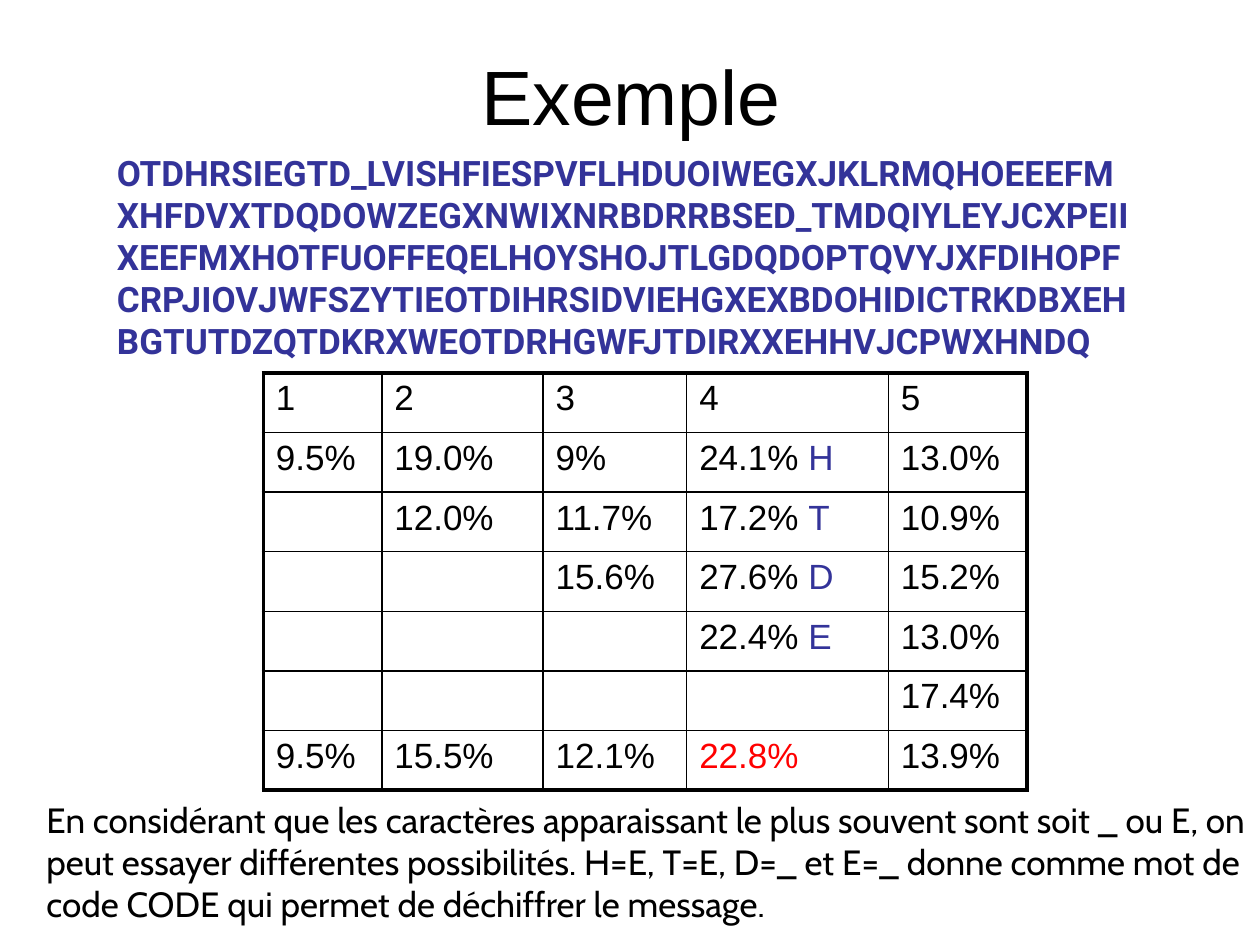
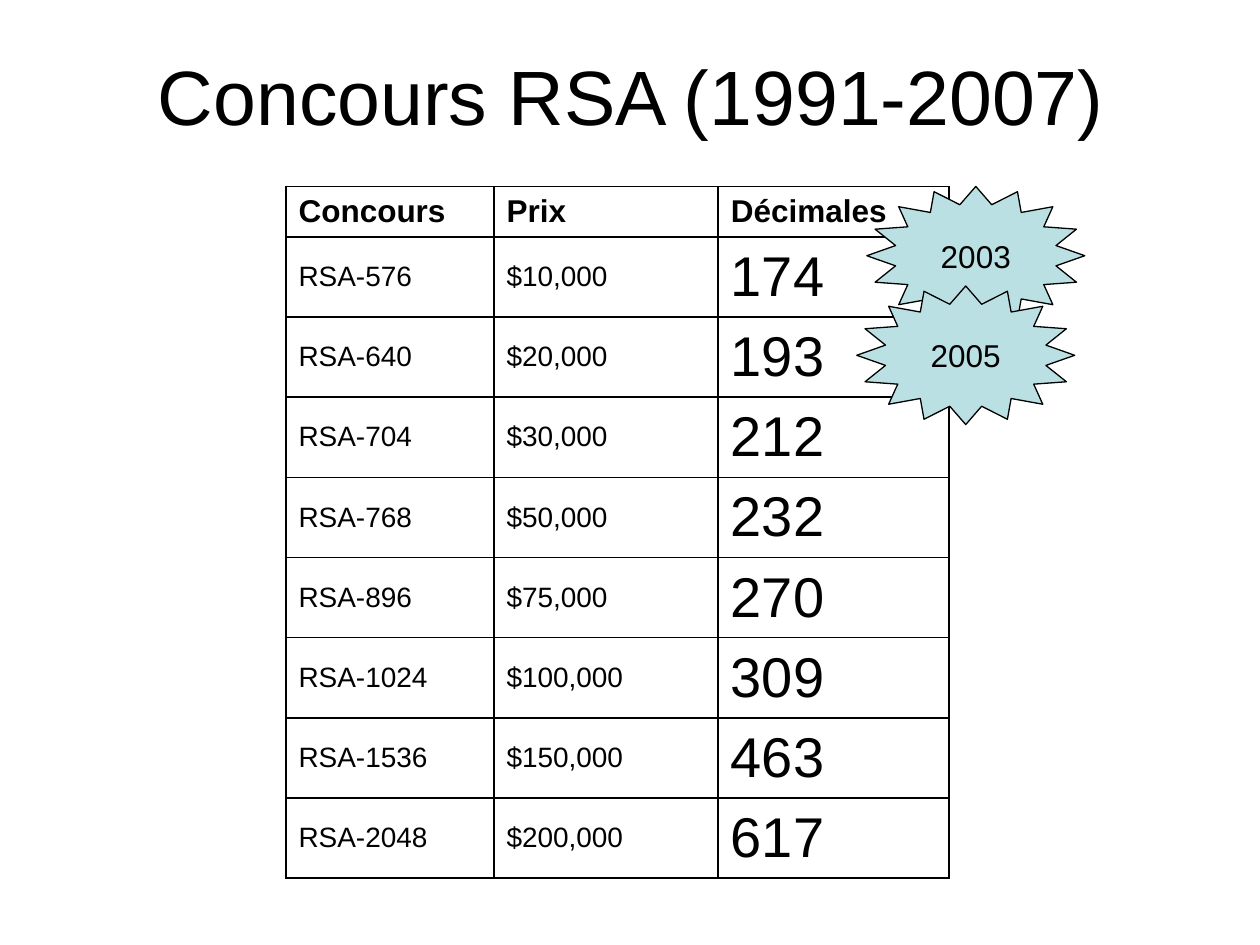
import dataclasses

import pptx
import pptx.dml.color
import pptx.enum.shapes
import pptx.enum.text
import pptx.oxml
import pptx.oxml.ns
import pptx.util

Inches = pptx.util.Inches
Pt = pptx.util.Pt
Color = pptx.dml.color.RGBColor.from_string
Anchor = pptx.enum.text.MSO_ANCHOR
Align = pptx.enum.text.PP_ALIGN


@dataclasses.dataclass(frozen=True)
class Theme:
    black: str = "000000"
    blue: str = "333399"
    red: str = "FF0000"
    pale: str = "BBE0E3"
    sans: str = "Arial"
    code: str = "Roboto"
    note: str = "Cabin"
    title: int = 44
    large: int = 32
    body: int = 20
    head: int = 18
    small: int = 16
    thin: float = 1
    thick: float = 2.25


class Deck:
    def __init__(self, theme):
        self.theme = theme
        self.show = pptx.Presentation()
        self.show.slide_width = Inches(10)
        self.show.slide_height = Inches(7.5)
        self.slide = None

    def style(self, para, size, face=None, color=None, bold=False):
        para.font.size = Pt(size)
        para.font.name = face or self.theme.sans
        para.font.bold = bold
        para.font.color.rgb = Color(color or self.theme.black)

    def page(self, text):
        self.slide = self.show.slides.add_slide(self.show.slide_layouts[5])
        title = self.slide.shapes.title
        title.left, title.top = Inches(0.51), Inches(0)
        title.width, title.height = Inches(9), Inches(1.5)
        title.text_frame.text = text
        title.text_frame.vertical_anchor = Anchor.MIDDLE
        para = title.text_frame.paragraphs[0]
        para.alignment = Align.CENTER
        self.style(para, self.theme.title)

    def text(self, box, words, face, color, bold=False):
        frame = self.slide.shapes.add_textbox(*map(Inches, box)).text_frame
        frame.word_wrap = True
        frame.auto_size = pptx.enum.text.MSO_AUTO_SIZE.SHAPE_TO_FIT_TEXT
        frame.text = words
        self.style(frame.paragraphs[0], self.theme.body, face, color, bold)

    def table(self, left, top, widths, heights, rows, form, edge):
        frame = self.slide.shapes.add_table(
            len(rows), len(widths), Inches(left), Inches(top),
            Inches(sum(widths)), Inches(sum(heights)))
        grid = frame.table
        grid.first_row = grid.horz_banding = False
        for col, width in zip(grid.columns, widths):
            col.width = Inches(width)
        for row, height in zip(grid.rows, heights):
            row.height = Inches(height)
        for r, row in enumerate(rows):
            for c, words in enumerate(row):
                cell = grid.cell(r, c)
                cell.text = words
                cell.fill.background()
                form(cell, r, c)
                outer = {"L": c == 0, "R": c == len(widths) - 1,
                         "T": r == 0, "B": r == len(rows) - 1}
                self.border(cell, outer, edge)

    def border(self, cell, outer, edge):
        props = cell._tc.get_or_add_tcPr()
        space = pptx.oxml.ns.nsdecls("a")
        for spot, (side, out) in enumerate(outer.items()):
            width = Pt(edge if out else self.theme.thin)
            props.insert(spot, pptx.oxml.parse_xml(
                f'<a:ln{side} {space} w="{width}"><a:solidFill>'
                f'<a:srgbClr val="{self.theme.black}"/>'
                f'</a:solidFill></a:ln{side}>'))

    def star(self, left, top, year):
        kind = pptx.enum.shapes.MSO_SHAPE.STAR_16_POINT
        star = self.slide.shapes.add_shape(
            kind, Inches(left), Inches(top), Inches(1.73), Inches(1.1))
        star.adjustments[0] = 0.375
        star.shadow.inherit = False
        star.fill.solid()
        star.fill.fore_color.rgb = Color(self.theme.pale)
        star.line.color.rgb = Color(self.theme.black)
        star.line.width = Pt(0.75)
        frame = star.text_frame
        frame.word_wrap = False
        frame.vertical_anchor = Anchor.MIDDLE
        frame.text = year
        para = frame.paragraphs[0]
        para.alignment = Align.CENTER
        self.style(para, self.theme.head)


def sample(deck):
    theme = deck.theme
    deck.page("Exemple")
    cipher = (
        "OTDHRSIEGTD_LVISHFIESPVFLHDUOIWEGXJKLRMQHOEEEFM"
        "XHFDVXTDQDOWZEGXNWIXNRBDRRBSED_TMDQIYLEYJCXPEII"
        "XEEFMXHOTFUOFFEQELHOYSHOJTLGDQDOPTQVYJXFDIHOPF"
        "CRPJIOVJWFSZYTIEOTDIHRSIDVIEHGXEXBDOHIDICTRKDBXEH"
        "BGTUTDZQTDKRXWEOTDRHGWFJTDIRXXEHHVJCPWXHNDQ")
    deck.text((0.83, 1.15, 8.27, 1.77), cipher, theme.code, theme.blue, True)

    rows = [
        ("1", "2", "3", "4", "5"),
        ("9.5%", "19.0%", "9%", "24.1% ", "13.0%"),
        ("", "12.0%", "11.7%", "17.2% ", "10.9%"),
        ("", "", "15.6%", "27.6% ", "15.2%"),
        ("", "", "", "22.4% ", "13.0%"),
        ("", "", "", "", "17.4%"),
        ("9.5%", "15.5%", "12.1%", "22.8%", "13.9%"),
    ]
    marks = dict(enumerate("HTDE", 1))

    def form(cell, r, c):
        para = cell.text_frame.paragraphs[0]
        para.space_before = Pt(theme.body * 0.2)
        best = (r, c) == (len(rows) - 1, 3)
        deck.style(para, theme.body, color=theme.red if best else None)
        if c == 3 and r in marks:
            run = para.add_run()
            run.text = marks[r]
            run.font.color.rgb = Color(theme.blue)

    widths = (0.94, 1.28, 1.14, 1.6, 1.1)
    heights = [3.31 / len(rows)] * len(rows)
    deck.table(2.09, 2.96, widths, heights, rows, form, theme.thick)
    deck.text(
        (0.27, 6.29, 9.73, 1.1),
        "En considérant que les caractères apparaissant le plus souvent sont "
        "soit _ ou E, on peut essayer différentes possibilités. H=E, T=E, D=_ "
        "et E=_ donne comme mot de code CODE qui permet de déchiffrer le "
        "message.", theme.note, theme.black)


def contest(deck):
    theme = deck.theme
    deck.page("Concours RSA (1991-2007)")
    rows = [
        ("Concours", "Prix", "Décimales"),
        ("RSA-576", "$10,000", "174"),
        ("RSA-640", "$20,000", "193"),
        ("RSA-704", "$30,000", "212"),
        ("RSA-768", "$50,000", "232"),
        ("RSA-896", "$75,000", "270"),
        ("RSA-1024", "$100,000", "309"),
        ("RSA-1536", "$150,000", "463"),
        ("RSA-2048", "$200,000", "617"),
    ]

    def form(cell, r, c):
        cell.vertical_anchor = Anchor.MIDDLE
        size = theme.large if c == 2 else theme.small
        deck.style(cell.text_frame.paragraphs[0],
                   theme.head if r == 0 else size, bold=r == 0)

    count = len(rows) - 1
    heights = [0.4] + [5.09 / count] * count
    deck.table(2.27, 1.48, (1.65, 1.78, 1.83), heights, rows, form, theme.thin)
    deck.star(6.88, 1.48, "2003")
    deck.star(6.8, 2.27, "2005")


def main():
    deck = Deck(Theme())
    sample(deck)
    contest(deck)
    deck.show.save("out.pptx")


if __name__ == "__main__":
    main()
